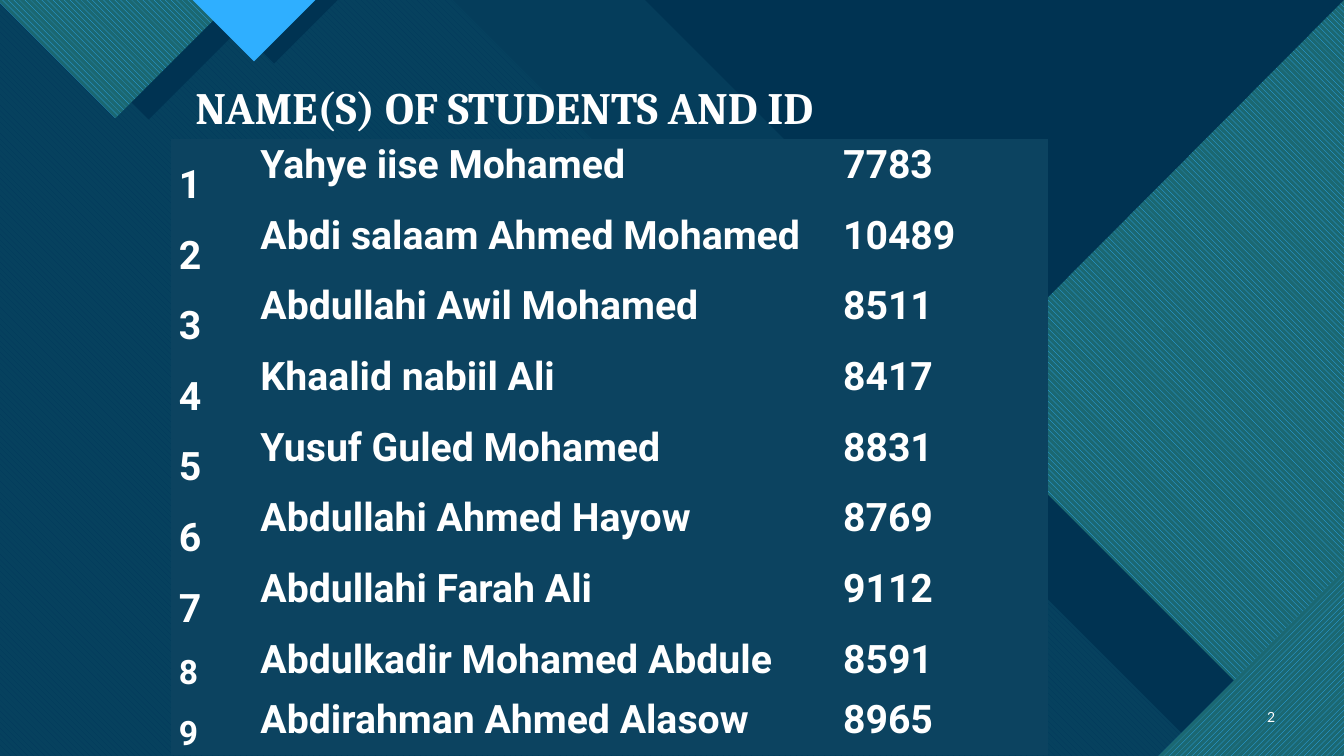
from collections import namedtuple
from math import cos, radians, sin

from lxml.etree import SubElement
from pptx import Presentation
from pptx.dml.color import RGBColor
from pptx.enum.dml import MSO_PATTERN as Pattern
from pptx.enum.shapes import MSO_SHAPE as Preset
from pptx.enum.text import MSO_ANCHOR as Anchor, PP_ALIGN as Align
from pptx.oxml.ns import qn
from pptx.util import Pt

Box = namedtuple("Box", "left top width height")

COLORS = {
    "base": "0C4360",
    "navy": "003352",
    "aqua": "47C3D3",
    "blue": "0065A4",
    "sky": "2FAFFF",
    "teal": "1B6872",
    "white": "FFFFFF",
}
DOWN = Pattern.WIDE_DOWNWARD_DIAGONAL
UP = Pattern.WIDE_UPWARD_DIAGONAL
NO_STYLE_NO_GRID = "{2D5ABB26-0587-4C30-8999-92F81FD0307C}"

STUDENTS = [
    ("Yahye iise Mohamed", "7783"),
    ("Abdi salaam Ahmed Mohamed", "10489"),
    ("Abdullahi Awil Mohamed", "8511"),
    ("Khaalid nabiil Ali", "8417"),
    ("Yusuf Guled Mohamed", "8831"),
    ("Abdullahi Ahmed Hayow", "8769"),
    ("Abdullahi Farah Ali", "9112"),
    ("Abdulkadir Mohamed Abdule", "8591"),
    ("Abdirahman Ahmed Alasow", "8965"),
]


def rgb(name):
    return RGBColor.from_string(COLORS[name])


def paint(shape, color, back=None, pattern=None, opacity=100):
    """Fill a shape, solid or patterned, without line or shadow."""
    shape.shadow.inherit = False
    shape.line.fill.background()
    if pattern:
        shape.fill.patterned()
        shape.fill.pattern = pattern
        shape.fill.fore_color.rgb = rgb(color)
        shape.fill.back_color.rgb = rgb(back)
        return
    shape.fill.solid()
    shape.fill.fore_color.rgb = rgb(color)
    if opacity < 100:
        tint = shape.element.spPr.find(qn("a:solidFill"))[0]
        SubElement(tint, qn("a:alpha"), val=str(opacity * 1000))


def turn(x, y, degrees):
    angle = radians(degrees)
    return x * cos(angle) - y * sin(angle), x * sin(angle) + y * cos(angle)


def add_polygon(page, box, points, color, rotation=0, **fill):
    """Draw points, given as seen within the box, as a shape with a rotated frame."""
    flat = [turn(box.left + x, box.top + y, -rotation) for x, y in points]
    xs, ys = zip(*flat)
    middle = (min(xs) + max(xs)) / 2, (min(ys) + max(ys)) / 2
    center = turn(*middle, rotation)
    shift_x, shift_y = center[0] - middle[0], center[1] - middle[1]
    corners = [(Pt(x + shift_x), Pt(y + shift_y)) for x, y in flat]
    builder = page.shapes.build_freeform(*corners[0])
    builder.add_line_segments(corners[1:], close=True)
    shape = builder.convert_to_shape()
    shape.rotation = rotation
    paint(shape, color, **fill)


def write(frame, text, size=28, font="Roboto", bold=True, align=Align.LEFT, spacing=1.0):
    para = frame.paragraphs[0]
    para.alignment = align
    para.line_spacing = spacing
    span = para.add_run()
    span.text = text
    span.font.size = Pt(size)
    span.font.name = font
    span.font.bold = bold
    span.font.color.rgb = rgb("white")


def add_label(page, box, text, anchor=Anchor.TOP, **style):
    frame = page.shapes.add_textbox(*map(Pt, box)).text_frame
    frame.word_wrap = True
    frame.vertical_anchor = anchor
    write(frame, text, **style)


def draw_backdrop(page, box):
    right, bottom = box.width, box.height
    paint(page.shapes.add_shape(Preset.RECTANGLE, *map(Pt, box)), "base")
    add_polygon(page, box, [(0, 0), (594.7, 0), (808.6, 213.8), (889.2, 213.8),
                            (right, 285.1), (right, bottom), (0, bottom)],
                "aqua", opacity=74)
    add_polygon(page, box, [(0, 0), (323.3, 0), (537.1, 213.8), (627.8, 213.8),
                            (954, bottom), (0, bottom)],
                "blue", back="aqua", pattern=DOWN, rotation=270)
    wedge = page.shapes.add_shape(Preset.RIGHT_TRIANGLE, Pt(box.left + 460.8),
                                  Pt(box.top), Pt(right - 460.8), Pt(499.2))
    wedge.rotation = 180
    paint(wedge, "navy")
    add_polygon(page, box, [(0, 0), (500.4, 0), (714.2, 213.8), (805, 213.8),
                            (right, 369.2), (right, bottom), (0, bottom)],
                "navy", opacity=90, rotation=270)


def draw_right_diamonds(page, box):
    right, bottom = box.width, box.height
    add_polygon(page, box, [(right, 49), (right, bottom), (860.4, bottom),
                            (664.6, 344.2)], "navy", rotation=45)
    add_polygon(page, box, [(right, 0), (right, bottom), (935.3, bottom),
                            (678.2, 283)],
                "sky", back="teal", pattern=DOWN, rotation=135)
    for side, rotation, fill in (
        (98.2, 45, dict(color="navy")),
        (132.6, 135, dict(color="sky", back="teal", pattern=UP)),
    ):
        add_polygon(page, box, [(right, bottom - side), (right, bottom),
                                (right - side, bottom)], rotation=rotation, **fill)


def draw_top_triangles(page, box):
    for middle, depth, rotation, fill in (
        (106.2, 85.3, 315, dict(color="navy")),
        (82.4, 84.4, 45, dict(color="sky", back="teal", pattern=DOWN)),
        (195.8, 45.4, 315, dict(color="navy")),
        (181.4, 43.9, 45, dict(color="sky")),
    ):
        add_polygon(page, box, [(middle - depth, 0), (middle, depth),
                                (middle + depth, 0)], rotation=rotation, **fill)


def draw_student_table(page, box):
    holder = page.shapes.add_table(len(STUDENTS), 3, *map(Pt, box))
    for style in holder.element.iter(qn("a:tableStyleId")):
        style.text = NO_STYLE_NO_GRID
    table = holder.table
    table.first_row = table.horz_banding = False
    for column, width in zip(table.columns, (58.3, 416.2, box.width - 474.5)):
        column.width = Pt(width)
    for index, (name, number) in enumerate(STUDENTS):
        index_size = 28 if index < 7 else 24
        row = table.rows[index]
        row.height = Pt(index_size * 1.75)
        for cell, text, size, spacing in zip(
            row.cells, (str(index + 1), name, number),
            (index_size, 28, 28), (1.5, 1.07, 1.07),
        ):
            cell.fill.solid()
            cell.fill.fore_color.rgb = rgb("base")
            cell.margin_left = cell.margin_right = Pt(5.4)
            cell.margin_top = cell.margin_bottom = Pt(0)
            write(cell.text_frame, text, size=size, spacing=spacing)


def main():
    deck = Presentation()
    deck.slide_width, deck.slide_height = Pt(960), Pt(540)
    page = deck.slides.add_slide(deck.slide_layouts[6])
    whole = Box(0, 0, 960, 540)
    draw_backdrop(page, whole)
    draw_right_diamonds(page, whole)
    draw_top_triangles(page, whole)
    add_label(page, Box(886.3, 497.5, 31.7, 28.8), "2", anchor=Anchor.MIDDLE,
              size=10, font="Lato", bold=False, align=Align.RIGHT)
    draw_student_table(page, Box(122.4, 99.4, 626.2, 429))
    add_label(page, Box(132.5, 53.3, 587.5, 46.1), "NAME(S) OF STUDENTS AND ID",
              size=32, font="Cambria")
    deck.save("out.pptx")


if __name__ == "__main__":
    main()
